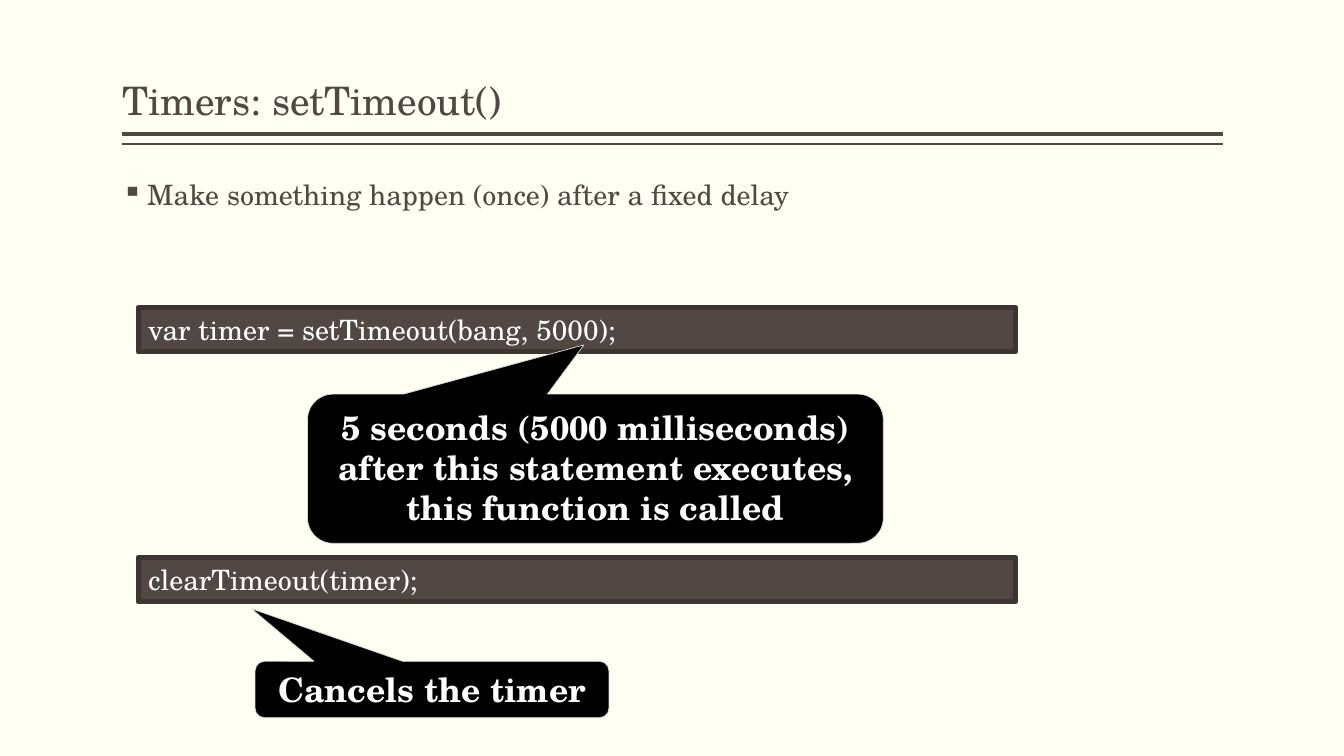
"""Build the slide on setTimeout() timers; places are percentages of the slide."""
from dataclasses import dataclass

import lxml.etree
import pptx
import pptx.dml.color
import pptx.enum.shapes
import pptx.enum.text
import pptx.oxml.ns
import pptx.util

WIDE, HIGH = 13.33, 7.5
LEFT, SPAN = 9.08, 81.92
FONT = "TeX Gyre Schola"
HUES = {"page": "FFFFF3", "brown": "514843", "edge": "3C3532",
        "black": "000000", "pale": "DEDAD7", "white": "FFFFFF"}
KIND = pptx.enum.shapes.MSO_SHAPE
ALIGN = pptx.enum.text.PP_ALIGN
ANCHOR = pptx.enum.text.MSO_ANCHOR
FIT = pptx.enum.text.MSO_AUTO_SIZE


@dataclass
class Box:
    left: float
    top: float
    width: float
    height: float

    def place(self) -> tuple:
        return across(self.left), down(self.top), across(self.width), down(self.height)


@dataclass
class Rule:
    top: float
    weight: float


@dataclass
class Label:
    text: str
    box: Box
    size: int
    anchor: object
    bullet: str = ""


@dataclass
class Code:
    text: str
    top: float


@dataclass
class Bubble:
    text: str
    box: Box
    tip: tuple


RULES = [Rule(17.73, 3), Rule(19.07, 1)]
LABELS = [
    Label("Timers: setTimeout()", Box(LEFT, 1.07, SPAN, 16), 28, ANCHOR.BOTTOM),
    Label("Make something happen (once) after a fixed delay",
          Box(LEFT, 23.33, SPAN, 66.67), 20, ANCHOR.TOP, "▪"),
]
CODES = [Code("var timer = setTimeout(bang, 5000);", 40.67),
         Code("clearTimeout(timer);", 73.73)]
BUBBLES = [
    Bubble("5 seconds (5000 milliseconds) after this statement executes, "
           "this function is called", Box(22.88, 52.13, 42.84, 19.73), (-0.02, -0.83)),
    Bubble("Cancels the timer", Box(18.98, 87.47, 26.33, 7.47), (-0.51, -1.43)),
]


def across(share: float) -> int:
    return pptx.util.Inches(WIDE * share / 100)


def down(share: float) -> int:
    return pptx.util.Inches(HIGH * share / 100)


def hue(name: str) -> pptx.dml.color.RGBColor:
    return pptx.dml.color.RGBColor.from_string(HUES[name])


def write(shape, text: str, size: int, tint: str, bold: bool = False):
    frame = shape.text_frame
    frame.text = text
    frame.word_wrap = True
    para = frame.paragraphs[0]
    font = para.runs[0].font
    font.name, font.size, font.bold = FONT, pptx.util.Pt(size), bold
    font.color.rgb = hue(tint)
    return para


def panel(slide, kind, box: Box, fill: str, edge: str, weight: float):
    shape = slide.shapes.add_shape(kind, *box.place())
    shape.shadow.inherit = False
    shape.fill.solid()
    shape.fill.fore_color.rgb = hue(fill)
    shape.line.color.rgb = hue(edge)
    shape.line.width = pptx.util.Pt(weight)
    return shape


def draw_rule(slide, rule: Rule) -> None:
    line = slide.shapes.add_connector(
        pptx.enum.shapes.MSO_CONNECTOR.STRAIGHT,
        across(LEFT + SPAN), down(rule.top), across(LEFT), down(rule.top))
    line.line.color.rgb = hue("brown")
    line.line.width = pptx.util.Pt(rule.weight)
    lxml.etree.SubElement(line._element.spPr, pptx.oxml.ns.qn("a:effectLst"))


def draw_label(slide, label: Label) -> None:
    shape = slide.shapes.add_textbox(*label.box.place())
    para = write(shape, label.text, label.size, "brown")
    frame = shape.text_frame
    frame.margin_left = frame.margin_right = 0
    frame.vertical_anchor = label.anchor
    if label.bullet:
        props = para._p.get_or_add_pPr()
        dent = pptx.util.Inches(0.25)
        props.set("marL", str(dent))
        props.set("indent", str(-dent))
        mark = lxml.etree.SubElement(props, pptx.oxml.ns.qn("a:buChar"))
        mark.set("char", label.bullet)
    para.line_spacing = 0.9


def draw_code(slide, code: Code) -> None:
    box = Box(10.28, code.top, 65.27, 5.87)
    shape = panel(slide, KIND.RECTANGLE, box, "brown", "edge", 3.78)
    write(shape, code.text, 20, "white").alignment = ALIGN.LEFT
    shape.text_frame.vertical_anchor = ANCHOR.MIDDLE


def draw_bubble(slide, bubble: Bubble) -> None:
    shape = panel(slide, KIND.ROUNDED_RECTANGULAR_CALLOUT, bubble.box, "black", "pale", 0.5)
    for spot, value in enumerate((*bubble.tip, 0.17)):
        shape.adjustments[spot] = value
    write(shape, bubble.text, 24, "white", True).alignment = ALIGN.CENTER
    shape.text_frame.vertical_anchor = ANCHOR.TOP
    shape.text_frame.auto_size = FIT.SHAPE_TO_FIT_TEXT


def main() -> None:
    deck = pptx.Presentation()
    deck.slide_width, deck.slide_height = across(100), down(100)
    slide = deck.slides.add_slide(deck.slide_layouts[6])
    slide.background.fill.solid()
    slide.background.fill.fore_color.rgb = hue("page")
    for draw, items in ((draw_rule, RULES), (draw_label, LABELS),
                        (draw_code, CODES), (draw_bubble, BUBBLES)):
        for item in items:
            draw(slide, item)
    deck.save("out.pptx")


if __name__ == "__main__":
    main()
